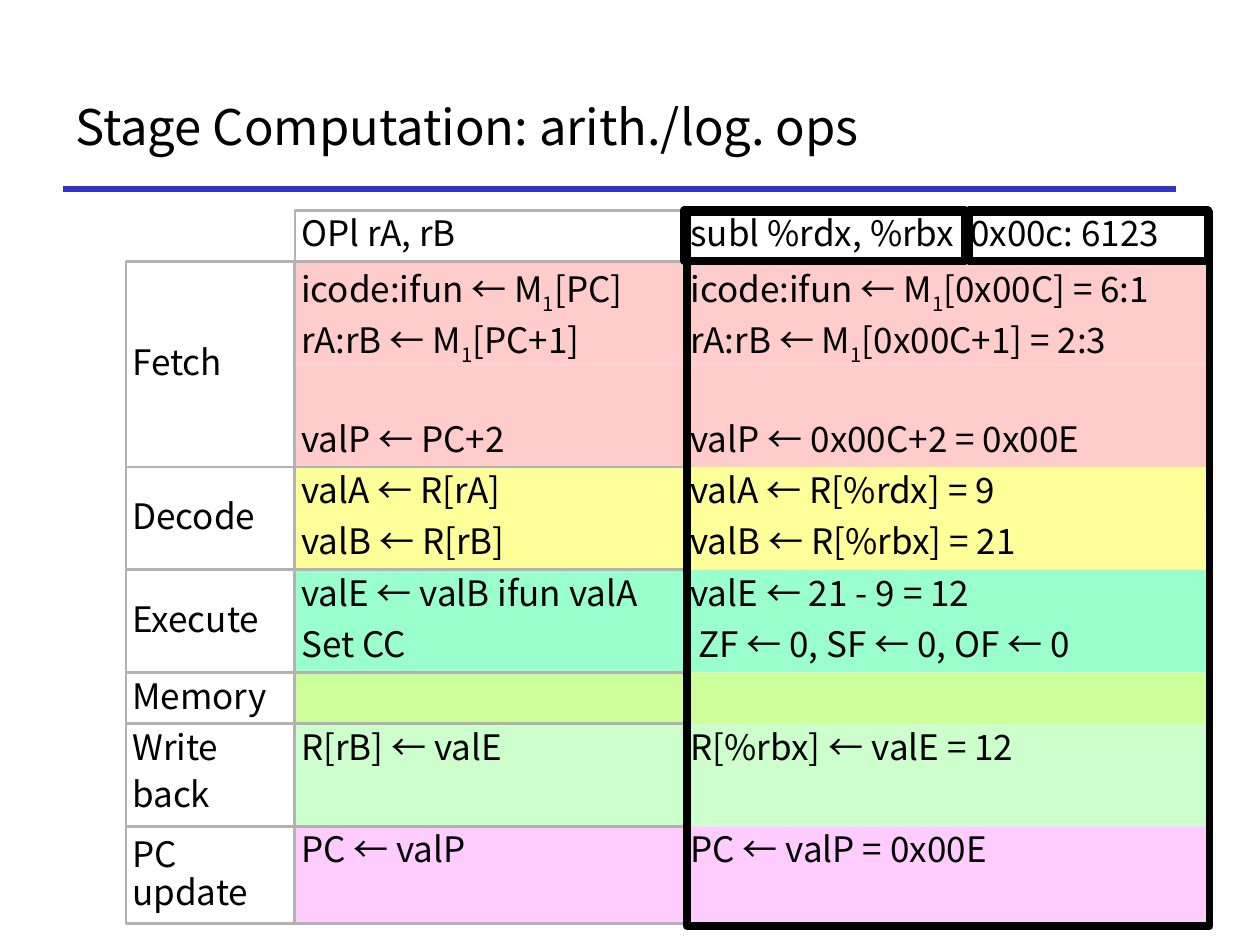
"""Build the stage computation slide for arithmetic and logical operations."""
import pptx
import pptx.dml.color
import pptx.enum.shapes
import pptx.enum.text
import pptx.oxml
import pptx.oxml.ns
import pptx.util

Inches, Pt = pptx.util.Inches, pptx.util.Pt
FONT = "Noto Sans CJK KR"
BLACK, GRAY, BLUE = "000000", "B2B2B2", "3333CC"
TITLE = "Stage Computation: arith./log. ops"
HEADER = ("OPl rA, rB", "subl %rdx, %rbx\t0x00c: 6123")
STAGES = [
    ("Fetch", "FFCCCC", [
        ("icode:ifun ← M_1_[PC]", "icode:ifun ← M_1_[0x00C] = 6:1"),
        ("rA:rB ← M_1_[PC+1]", "rA:rB ← M_1_[0x00C+1] = 2:3"),
        ("", ""),
        ("valP ← PC+2", "valP ← 0x00C+2 = 0x00E")]),
    ("Decode", "FFFF99", [
        ("valA ← R[rA]", "valA ← R[%rdx] = 9"),
        ("valB ← R[rB]", "valB ← R[%rbx] = 21")]),
    ("Execute", "99FFCC", [
        ("valE ← valB ifun valA", "valE ← 21 - 9 = 12"),
        ("Set CC", " ZF ← 0, SF ← 0, OF ← 0")]),
    ("Memory", "CCFF99", [("", "")]),
    ("Write\nback", "CCFFCC", [("R[rB] ← valE", "R[%rbx] ← valE = 12"), ("", "")]),
    ("PC update", "FFCCFF", [("PC ← valP", "PC ← valP = 0x00E")]),
]
LABEL_LEFT, GENERIC_LEFT, EXAMPLE_LEFT = 1, 2.34, 5.43
LABEL_WIDTH, GENERIC_WIDTH, EXAMPLE_WIDTH = 1.34, 3.09, 4.15
TABLE_TOP, LAST_TOP, LAST_HEIGHT = 1.67, 6.56, 0.77
ROW_HEIGHT = (LAST_TOP - TABLE_TOP) / 12
FRAMES = [(5.45, 1.68, 4.15, 5.67), (5.43, 1.67, 2.23, 0.4), (7.69, 1.67, 1.9, 0.4)]

presentation = pptx.Presentation()
presentation.slide_width, presentation.slide_height = Inches(10), Inches(7.5)
slide = presentation.slides.add_slide(presentation.slide_layouts[6])


def color(value):
    return pptx.dml.color.RGBColor.from_string(value)


def write(shape, text, size=20, middle=False, inset=0.05, spacing=0.9, before=10, tab=None):
    frame = shape.text_frame
    frame.word_wrap = True
    anchors = pptx.enum.text.MSO_ANCHOR
    frame.vertical_anchor = anchors.MIDDLE if middle else anchors.TOP
    frame.margin_left = frame.margin_right = Inches(inset)
    frame.margin_top = frame.margin_bottom = Inches(0.05)
    for index, line in enumerate(text.split("\n")):
        paragraph = frame.add_paragraph() if index else frame.paragraphs[0]
        paragraph.alignment = pptx.enum.text.PP_ALIGN.LEFT
        paragraph.line_spacing = spacing
        paragraph.space_before = Pt(before)
        if tab:
            properties = paragraph._p.get_or_add_pPr()
            tabs = pptx.oxml.parse_xml(
                f'<a:tabLst {pptx.oxml.ns.nsdecls("a")}>'
                f'<a:tab pos="{Inches(tab)}" algn="l"/></a:tabLst>')
            properties.append(tabs)
        for part, piece in enumerate(line.split("_")):
            run = paragraph.add_run()
            run.text = piece
            run.font.size, run.font.name = Pt(size), FONT
            run.font.color.rgb = color(BLACK)
            if part % 2:
                run.font._element.set("baseline", "-25000")


def add_box(left, top, width, height, fill=None, line=None, weight=1.5, text="", **text_format):
    box = slide.shapes.add_shape(
        pptx.enum.shapes.MSO_SHAPE.RECTANGLE,
        Inches(left), Inches(top), Inches(width), Inches(height))
    box.shadow.inherit = False
    if fill:
        box.fill.solid()
        box.fill.fore_color.rgb = color(fill)
    else:
        box.fill.background()
    if line:
        box.line.color.rgb = color(line)
        box.line.width = Pt(weight)
    else:
        box.line.fill.background()
    if text:
        write(box, text, **text_format)


rule = slide.shapes.add_connector(
    pptx.enum.shapes.MSO_CONNECTOR.STRAIGHT,
    Inches(0.5), Inches(1.5), Inches(9.33), Inches(1.5))
rule.line.color.rgb = color(BLUE)
rule.line.width = Pt(3)
rule._element.spPr.append(
    pptx.oxml.parse_xml(f'<a:effectLst {pptx.oxml.ns.nsdecls("a")}/>'))
title = slide.shapes.add_textbox(Inches(0.5), Inches(0.5), Inches(8.83), Inches(1))
write(title, TITLE, size=28, middle=True, inset=0.1, spacing=1.0, before=0)

add_box(GENERIC_LEFT, TABLE_TOP, GENERIC_WIDTH, ROW_HEIGHT, line=GRAY, text=HEADER[0])
add_box(EXAMPLE_LEFT, TABLE_TOP, EXAMPLE_WIDTH, ROW_HEIGHT, line=BLACK,
        text=HEADER[1], tab=2.22)

outlines = []
top = TABLE_TOP + ROW_HEIGHT
for label, fill, rows in STAGES:
    row_height = LAST_HEIGHT if label == "PC update" else ROW_HEIGHT
    height = row_height * len(rows)
    outlines.append((label, top, height))
    for index, (generic, example) in enumerate(rows):
        row_top = top + index * row_height
        add_box(GENERIC_LEFT, row_top, GENERIC_WIDTH, row_height, fill, text=generic)
        add_box(EXAMPLE_LEFT, row_top, EXAMPLE_WIDTH, row_height, fill, text=example)
    top += height

for label, stage_top, height in outlines:
    add_box(GENERIC_LEFT, stage_top, GENERIC_WIDTH, height, line=GRAY)
    add_box(LABEL_LEFT, stage_top, LABEL_WIDTH, height, line=GRAY, text=label,
            middle=True, spacing=0.7 if "\n" in label else 0.9)
for bounds in FRAMES:
    add_box(*bounds, line=BLACK, weight=4.5)

presentation.save("out.pptx")
